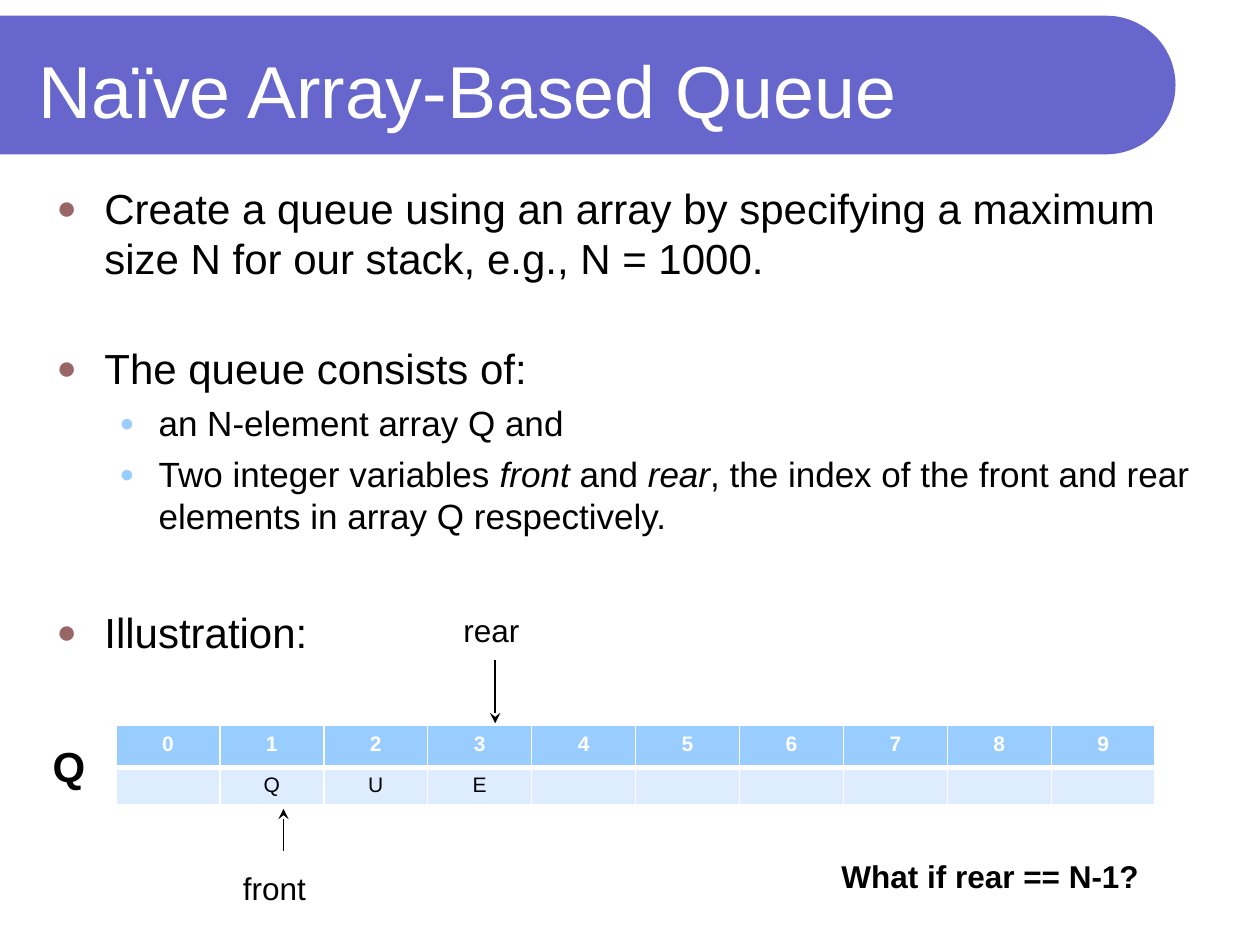
"""Build a slide explaining a naïve array-based queue."""
from dataclasses import dataclass
from math import cos, pi, sin

from lxml.etree import SubElement
from pptx import Presentation
from pptx.dml.color import RGBColor
from pptx.enum.shapes import MSO_CONNECTOR
from pptx.enum.text import MSO_ANCHOR, PP_ALIGN
from pptx.oxml.ns import qn
from pptx.slide import Slide
from pptx.table import _Cell
from pptx.text.text import Font, _Paragraph
from pptx.util import Inches, Pt

COLUMNS, ROWS = 100, 75
UNIT = Inches(10) // COLUMNS


@dataclass(frozen=True)
class Theme:
    font: str = "Arial"
    ink: str = "000000"
    paper: str = "FFFFFF"
    banner: str = "6666CC"
    bullet: str = "996666"
    accent: str = "99CCFF"
    cell: str = "DEECFF"
    title: int = 42
    body: int = 24
    detail: int = 20
    label: int = 18
    table: int = 12


@dataclass(frozen=True)
class Box:
    column: float
    row: float
    columns: float
    rows: float

    def place(self) -> tuple[int, ...]:
        return tuple(grid(n) for n in (self.column, self.row, self.columns, self.rows))


@dataclass(frozen=True)
class Label:
    text: str
    box: Box
    size: int
    bold: bool = False
    color: str = "000000"
    wrap: bool = False
    anchor: MSO_ANCHOR = MSO_ANCHOR.TOP


@dataclass(frozen=True)
class Point:
    spans: tuple[str, ...]
    level: int = 0
    before: float = 0


@dataclass(frozen=True)
class Level:
    size: int
    margin: float
    hanging: float
    color: str
    bullet_share: int


@dataclass(frozen=True)
class Arrow:
    column: float
    start: float
    end: float


THEME = Theme()
LEVELS = (
    Level(THEME.body, 3.8, 3.8, THEME.bullet, 80),
    Level(THEME.detail, 8.1, 3.1, THEME.accent, 70),
)
POINTS = (
    Point(("Create a queue using an array by specifying a maximum size N for our stack, e.g., N = 1000.",)),
    Point(("The queue consists of:",), before=34),
    Point(("an N-element array Q and",), 1, 5),
    Point(("Two integer variables ", "front ", "and ", "rear",
           ", the index of the front and rear elements in array Q respectively."), 1, 5),
    Point(("Illustration:",), before=40),
)
TITLE = Label("Naïve Array-Based Queue", Box(2.1, 2.1, 87.7, 10), THEME.title,
              color=THEME.paper, wrap=True, anchor=MSO_ANCHOR.MIDDLE)
LABELS = (
    TITLE,
    Label("front", Box(18.3, 68.5, 7.1, 4), THEME.label),
    Label("rear", Box(35.8, 48, 6.5, 4), THEME.label),
    Label("Q", Box(3.2, 58.3, 4.6, 5.1), THEME.body, bold=True),
    Label("What if rear == N-1?", Box(65.8, 67.5, 25.9, 4), THEME.label, bold=True),
)
ARROWS = (Arrow(39.3, 52.4, 57.4), Arrow(22.5, 67.5, 64.2))
QUEUE = ("", "Q", "U", "E", "", "", "", "", "", "")


def grid(count: float) -> int:
    """Turn a number of grid steps into a length."""
    return round(count * UNIT)


def style(font: Font, size: int, color: str, bold: bool = False) -> None:
    """Set the face, size, colour and weight of a font."""
    font.name, font.size, font.bold = THEME.font, Pt(size), bold
    font.color.rgb = RGBColor.from_string(color)


def draw_banner(page: Slide, box: Box) -> None:
    """Draw the title band with its half-round right end."""
    radius = box.rows / 2
    center, middle = box.columns - radius, box.row + radius
    steps = 48
    angles = [pi * (step / steps - 0.5) for step in range(steps + 1)]
    arc = [(grid(center + radius * cos(a)), grid(middle + radius * sin(a))) for a in angles]
    builder = page.shapes.build_freeform(0, grid(box.row))
    builder.add_line_segments([*arc, (0, grid(box.row + box.rows))], close=True)
    banner = builder.convert_to_shape()
    banner.shadow.inherit = False
    banner.fill.solid()
    banner.fill.fore_color.rgb = RGBColor.from_string(THEME.banner)
    banner.line.fill.background()


def draw_label(page: Slide, label: Label) -> None:
    """Write one line of text in its own box."""
    frame = page.shapes.add_textbox(*label.box.place()).text_frame
    frame.word_wrap, frame.vertical_anchor = label.wrap, label.anchor
    para = frame.paragraphs[0]
    para.text = label.text
    style(para.font, label.size, label.color, label.bold)


def add_bullet(para: _Paragraph, level: Level) -> None:
    """Give a paragraph its hanging round bullet."""
    properties = para._p.get_or_add_pPr()
    properties.set("marL", str(grid(level.margin)))
    properties.set("indent", str(-grid(level.hanging)))
    color = SubElement(properties, qn("a:buClr"))
    SubElement(color, qn("a:srgbClr"), val=level.color)
    SubElement(properties, qn("a:buSzPct"), val=str(level.bullet_share * 1000))
    SubElement(properties, qn("a:buFont"), typeface=THEME.font)
    SubElement(properties, qn("a:buChar"), char="●")


def draw_points(page: Slide, box: Box) -> None:
    """Write the bulleted text, with every second span in italics."""
    frame = page.shapes.add_textbox(*box.place()).text_frame
    frame.word_wrap = True
    for index, point in enumerate(POINTS):
        para = frame.add_paragraph() if index else frame.paragraphs[0]
        level = LEVELS[point.level]
        para.level, para.space_before = point.level, Pt(point.before)
        add_bullet(para, level)
        style(para.font, level.size, THEME.ink)
        for position, text in enumerate(point.spans):
            span = para.add_run()
            span.text = text
            if position % 2:
                span.font.italic = True


def draw_arrow(page: Slide, arrow: Arrow) -> None:
    """Draw a vertical arrow towards its end row."""
    x = grid(arrow.column)
    line = page.shapes.add_connector(MSO_CONNECTOR.STRAIGHT, x, grid(arrow.start), x, grid(arrow.end))
    line.line.width = Pt(1)
    line.line.color.rgb = RGBColor.from_string(THEME.ink)
    SubElement(line.line._get_or_add_ln(), qn("a:tailEnd"), type="stealth")
    SubElement(line._element.spPr, qn("a:effectLst"))


def fill_cell(cell: _Cell, text: str, header: bool) -> None:
    """Write, border and fill one table cell."""
    cell.margin_top, cell.margin_bottom = grid(0.5 if text else 0), 0
    para = cell.text_frame.paragraphs[0]
    para.text, para.alignment = text, PP_ALIGN.CENTER
    style(para.font, THEME.table, THEME.paper if header else THEME.ink, header)
    widths = {"lnL": 1, "lnR": 1, "lnT": 1 if header else 3, "lnB": 3 if header else 1}
    for side, width in widths.items():
        border = SubElement(cell._tc.get_or_add_tcPr(), qn(f"a:{side}"), w=str(Pt(width)))
        SubElement(SubElement(border, qn("a:solidFill")), qn("a:srgbClr"), val=THEME.paper)
    cell.fill.solid()
    cell.fill.fore_color.rgb = RGBColor.from_string(THEME.accent if header else THEME.cell)


def draw_queue(page: Slide, box: Box) -> None:
    """Draw the array as a row of indexes above a row of elements."""
    table = page.shapes.add_table(2, len(QUEUE), *box.place()).table
    table.rows[0].height, table.rows[1].height = grid(3.3), grid(box.rows - 3.3)
    for index, element in enumerate(QUEUE):
        fill_cell(table.cell(0, index), str(index), True)
        fill_cell(table.cell(1, index), element, False)


def main() -> None:
    """Assemble the slide and save it."""
    deck = Presentation()
    deck.slide_width, deck.slide_height = grid(COLUMNS), grid(ROWS)
    page = deck.slides.add_slide(deck.slide_layouts[6])
    draw_banner(page, Box(0, 1.25, 93.3, 11))
    draw_points(page, Box(3.5, 14, 92.9, 57.4))
    for arrow in ARROWS:
        draw_arrow(page, arrow)
    draw_queue(page, Box(9.2, 5.76 * 10, 82.5, 6.3))
    for label in LABELS:
        draw_label(page, label)
    deck.save("out.pptx")


if __name__ == "__main__":
    main()
